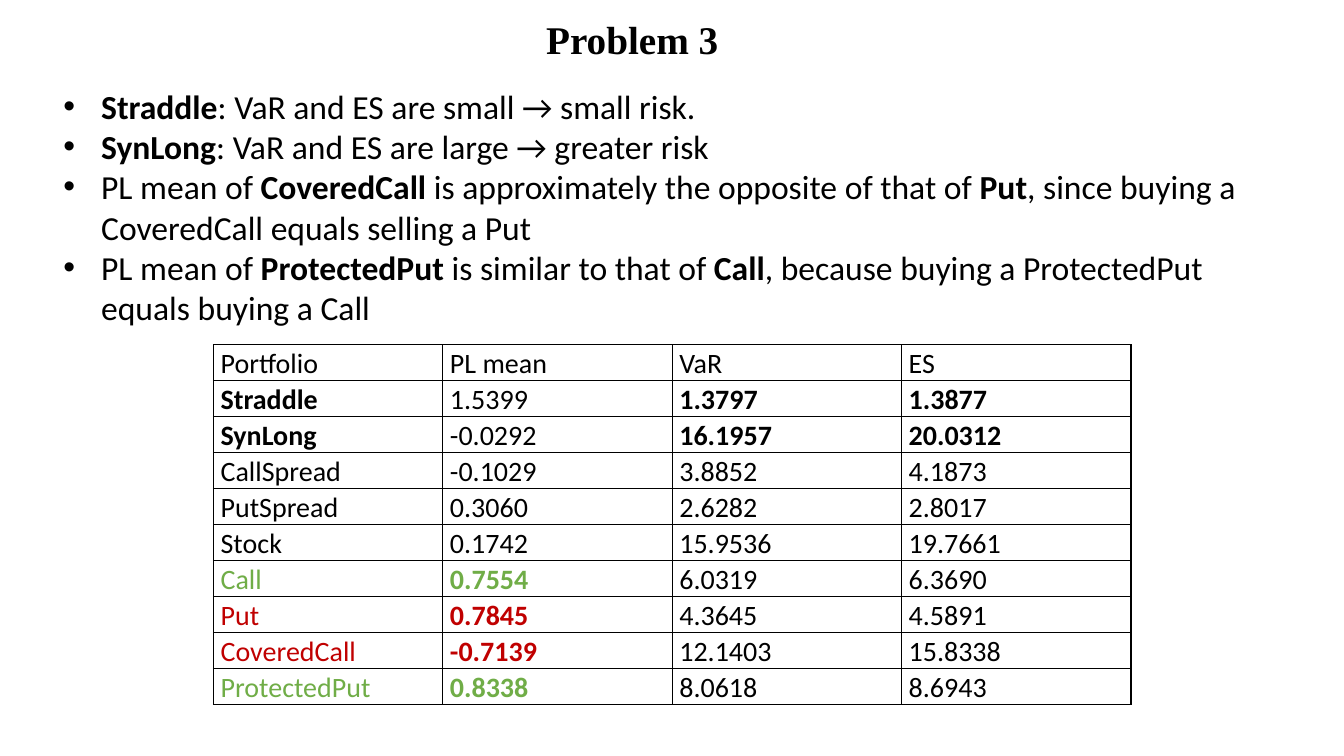
"""Build the Problem 3 slide: risk remarks above a table of portfolio figures."""
from lxml import etree
from pptx import Presentation
from pptx import util as u
from pptx.dml.color import RGBColor
from pptx.enum import text
from pptx.oxml import ns

BLACK, GREEN, RED = "000000", "70AD47", "C00000"
REMARKS = [
    "**Straddle**: VaR and ES are small → small risk.",
    "**SynLong**: VaR and ES are large → greater risk",
    "PL mean of **CoveredCall** is approximately the opposite of that of **Put**, "
    "since buying a CoveredCall equals selling a Put",
    "PL mean of **ProtectedPut** is similar to that of **Call**, "
    "because buying a ProtectedPut equals buying a Call",
]
ROWS = [
    ("Portfolio", "PL mean", "VaR", "ES"),
    ("**Straddle**", "1.5399", "**1.3797**", "**1.3877**"),
    ("**SynLong**", "-0.0292", "**16.1957**", "**20.0312**"),
    ("CallSpread", "-0.1029", "3.8852", "4.1873"),
    ("PutSpread", "0.3060", "2.6282", "2.8017"),
    ("Stock", "0.1742", "15.9536", "19.7661"),
    ("Call", "**0.7554**", "6.0319", "6.3690"),
    ("Put", "**0.7845**", "4.3645", "4.5891"),
    ("CoveredCall", "**-0.7139**", "12.1403", "15.8338"),
    ("ProtectedPut", "**0.8338**", "8.0618", "8.6943"),
]
ROW_COLORS = {"Call": GREEN, "ProtectedPut": GREEN, "Put": RED, "CoveredCall": RED}


def write(p, marked, size, color=BLACK, font="Calibri"):
    """Add runs to a paragraph, with the parts between ** in bold."""
    for i, part in enumerate(marked.split("**")):
        if part:
            r = p.add_run()
            r.text = part
            r.font.size, r.font.name, r.font.bold = u.Pt(size), font, i % 2 == 1
            r.font.color.rgb = RGBColor.from_string(color)


def add_xml(parent, tag, **attrs):
    """Append a drawing element with the given attributes."""
    return etree.SubElement(parent, ns.qn(tag), {k: str(v) for k, v in attrs.items()})


prs = Presentation()
prs.slide_width, prs.slide_height = u.Cm(33.87), u.Cm(19.05)
slide = prs.slides.add_slide(prs.slide_layouts[5])

title = slide.shapes.title
title.left, title.top, title.width, title.height = u.Cm(13.51), u.Cm(0.25), u.Cm(11.18), u.Cm(1.45)
tf = title.text_frame
tf.word_wrap = True
tf.auto_size = text.MSO_AUTO_SIZE.SHAPE_TO_FIT_TEXT
tf.vertical_anchor = text.MSO_ANCHOR.TOP
tf.paragraphs[0].alignment = text.PP_ALIGN.LEFT
write(tf.paragraphs[0], "**Problem 3**", 28, font="Times New Roman")

sp = slide.shapes.add_textbox(u.Cm(1.35), u.Cm(2.03), u.Cm(30.89), u.Cm(6.4))
tf = sp.text_frame
tf.word_wrap = True
tf.auto_size = text.MSO_AUTO_SIZE.SHAPE_TO_FIT_TEXT
for i, remark in enumerate(REMARKS):
    p = tf.add_paragraph() if i else tf.paragraphs[0]
    pPr = p._p.get_or_add_pPr()
    pPr.set("marL", str(u.Cm(0.95)))
    pPr.set("indent", str(-u.Cm(0.95)))
    add_xml(pPr, "a:buFont", typeface="Arial")
    add_xml(pPr, "a:buChar", char="•")
    write(p, remark, 24)

table = slide.shapes.add_table(len(ROWS), 4, u.Cm(5.38), u.Cm(8.69), u.Cm(23.12), u.Cm(7.9)).table
table.first_row = table.horz_banding = False
for row, values in zip(table.rows, ROWS):
    color = ROW_COLORS.get(values[0], BLACK)
    for col, (cell, value) in enumerate(zip(row.cells, values)):
        cell.margin_left = cell.margin_right = u.Cm(0.18)
        cell.margin_top = cell.margin_bottom = 0
        tcPr = cell._tc.get_or_add_tcPr()
        for side in "LRTB":
            ln = add_xml(tcPr, f"a:ln{side}", w=u.Pt(1))
            add_xml(add_xml(ln, "a:solidFill"), "a:srgbClr", val=BLACK)
        cell.fill.background()
        p = cell.text_frame.paragraphs[0]
        p.line_spacing = 1.07
        write(p, value, 20, color if col < 2 else BLACK)

prs.save("out.pptx")
